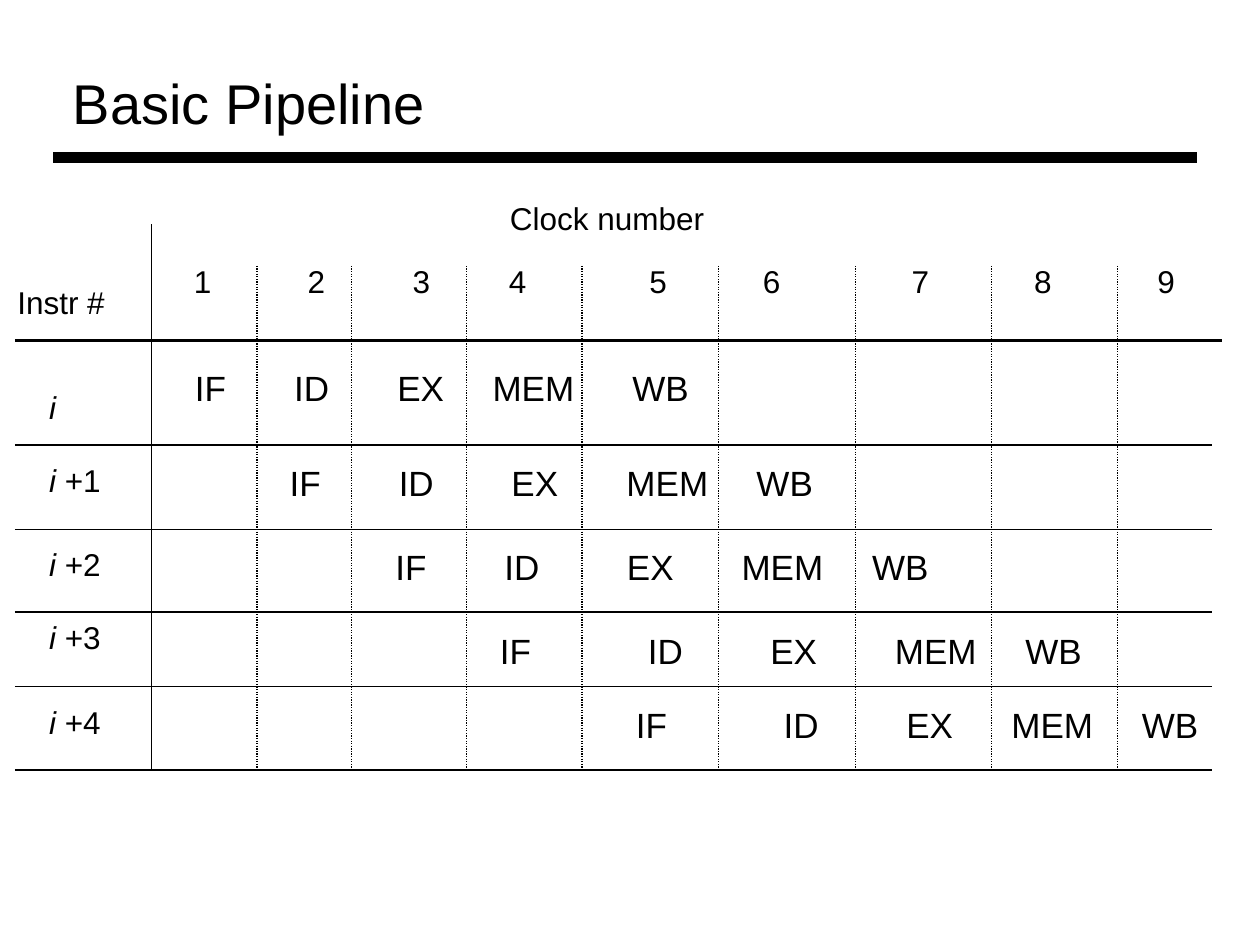
from dataclasses import dataclass

from pptx import Presentation
from pptx.dml.color import RGBColor
from pptx.enum.dml import MSO_LINE_DASH_STYLE as Dash
from pptx.enum.shapes import MSO_CONNECTOR as Connector
from pptx.enum.text import MSO_AUTO_SIZE as AutoSize
from pptx.oxml.xmlchemy import OxmlElement
from pptx.util import Cm, Pt


@dataclass(frozen=True)
class Theme:
    font: str = "Arial"
    ink: RGBColor = RGBColor(0, 0, 0)
    title_size: int = 32
    title_leading: int = 43
    stage_size: int = 20
    label_size: int = 18
    title_rule: float = 6
    header_rule: float = 2
    grid_rule: float = 0.75


class SlideBuilder:
    def __init__(self, slide, theme):
        self.slide = slide
        self.theme = theme

    def style(self, run, size, italic=False):
        run.font.name = self.theme.font
        run.font.size = Pt(size)
        run.font.color.rgb = self.theme.ink
        run.font.italic = italic

    def text(self, words, left, top, width, height, size, wrap=True):
        box = self.slide.shapes.add_textbox(Cm(left), Cm(top), Cm(width), Cm(height))
        frame = box.text_frame
        frame.word_wrap = wrap
        frame.auto_size = AutoSize.SHAPE_TO_FIT_TEXT
        frame.text = words
        paragraph = frame.paragraphs[0]
        for run in paragraph.runs:
            self.style(run, size)
        return paragraph

    def title(self, words, left, top, width, height):
        paragraph = self.text(words, left, top, width, height,
                              self.theme.title_size, wrap=False)
        paragraph.line_spacing = Pt(self.theme.title_leading)

    def label(self, words, left, top, width):
        return self.text(words, left, top, width, 1.02, self.theme.label_size)

    def instruction(self, offset, left, top, width):
        """Add an italic i, followed by an upright offset if there is one."""
        paragraph = self.label(f"i {offset}".split("+")[0] if offset else "i",
                               left, top, width)
        paragraph.runs[0].font.italic = True
        if offset:
            run = paragraph.add_run()
            run.text = offset
            self.style(run, self.theme.label_size)

    def tabbed(self, words, stops, left, top, width, height, size):
        """Add one line of text whose words stand at tab stops."""
        paragraph = self.text(words, left, top, width, height, size)
        tabs = OxmlElement("a:tabLst")
        for stop in stops:
            tab = OxmlElement("a:tab")
            tab.set("pos", str(Cm(stop)))
            tab.set("algn", "l")
            tabs.append(tab)
        paragraph._p.get_or_add_pPr().append(tabs)

    def line(self, x1, y1, x2, y2, weight, dash=None):
        rule = self.slide.shapes.add_connector(
            Connector.STRAIGHT, Cm(x1), Cm(y1), Cm(x2), Cm(y2))
        rule.line.color.rgb = self.theme.ink
        rule.line.width = Pt(weight)
        if dash:
            rule.line.dash_style = dash
        rule._element.spPr.append(OxmlElement("a:effectLst"))


STAGES = ["IF", "ID", "EX", "MEM", "WB"]
# left, top, width of each stage row, then its tab stops
STAGE_ROWS = [
    (3.68, 7.26, 10.59, [2.0, 4.08, 6.0, 8.82]),
    (5.59, 9.17, 11.63, [2.2, 4.47, 6.79, 9.41]),
    (7.72, 10.87, 12.9, [2.2, 4.67, 6.98, 9.61]),
    (9.83, 12.57, 12.9, [2.98, 5.45, 7.96, 10.59]),
    (12.57, 14.05, 12.9, [2.98, 5.45, 7.57, 10.2]),
]
CLOCK_STOPS = [0.18, 2.47, 4.59, 6.53, 9.36, 11.65, 14.65, 17.12, 19.6]
INSTRUCTIONS = [("", 7.7, 1.7), ("+1", 9.17, 2.11), ("+2", 10.87, 2.11),
                ("+3", 12.34, 2.34), ("+4", 14.05, 2.11)]
GRID_LEFT, GRID_RIGHT = 0.3, 24.43
HEADER_Y = 6.86
ROW_YS = [8.97, 10.67, 12.34, 13.84, 15.52]
COLUMN_XS = [5.18, 7.09, 9.4, 11.73, 14.48, 17.25, 19.99, 22.53]


def main():
    presentation = Presentation()
    presentation.slide_width, presentation.slide_height = Cm(25.4), Cm(19.05)
    theme = Theme()
    slide = SlideBuilder(
        presentation.slides.add_slide(presentation.slide_layouts[6]), theme)

    slide.title("Basic Pipeline", 1.22, 1.09, 7.67, 1.78)
    slide.line(1.07, 3.18, 24.13, 3.18, theme.title_rule)

    for left, top, width, stops in STAGE_ROWS:
        slide.tabbed("\t".join(STAGES), stops, left, top, width, 1.09,
                     theme.stage_size)

    slide.label("Clock number", 10.03, 3.89, 7.19)
    clocks = "".join(f"\t{clock}" for clock in range(1, 10))
    slide.tabbed(clocks, CLOCK_STOPS, 3.48, 5.16, 20.75, 1.02, theme.label_size)

    slide.line(GRID_LEFT, HEADER_Y, 24.64, HEADER_Y, theme.header_rule)
    for y in ROW_YS:
        slide.line(GRID_LEFT, y, GRID_RIGHT, y, theme.grid_rule)
    slide.line(3.05, 4.52, 3.05, ROW_YS[-1], theme.grid_rule)

    slide.label("Instr #", 0.1, 5.59, 3.38)
    for offset, top, width in INSTRUCTIONS:
        slide.instruction(offset, 0.74, top, width)

    for x in COLUMN_XS:
        slide.line(x, 5.36, x, ROW_YS[-1], theme.grid_rule, Dash.ROUND_DOT)

    presentation.save("out.pptx")


if __name__ == "__main__":
    main()
